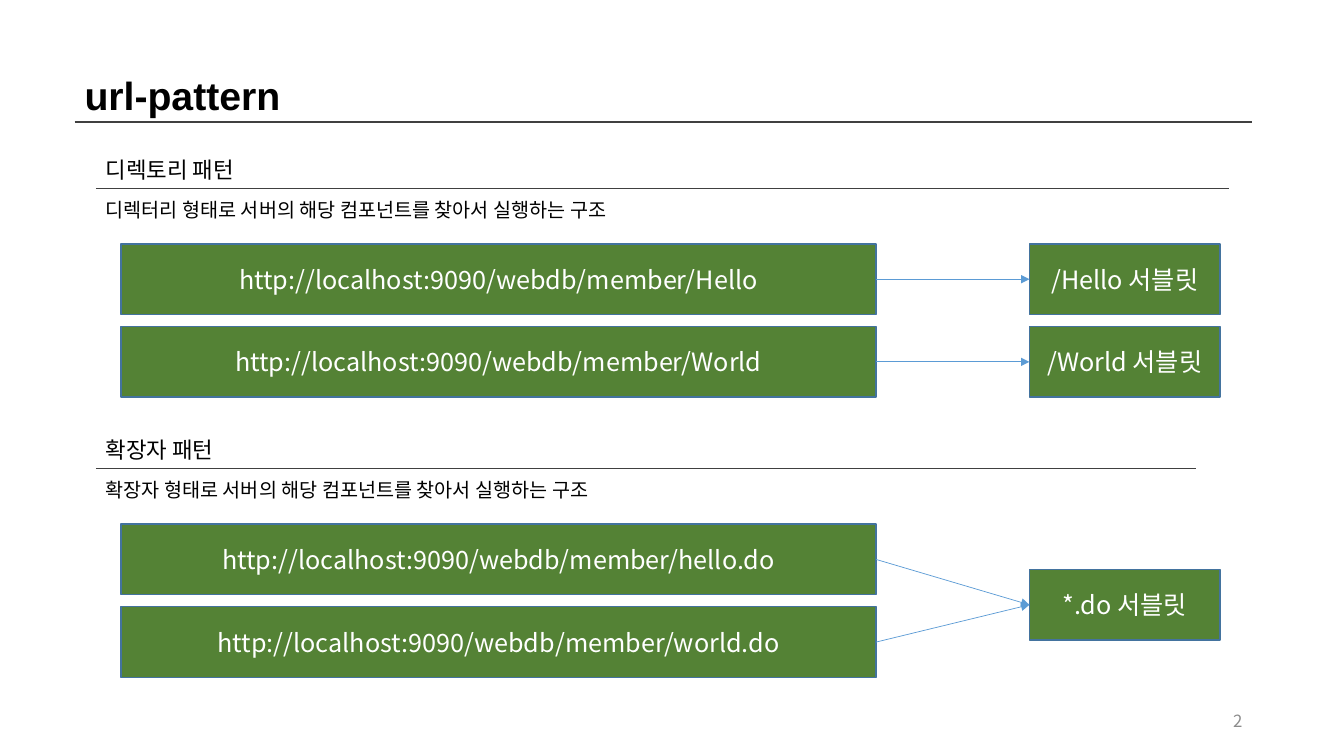
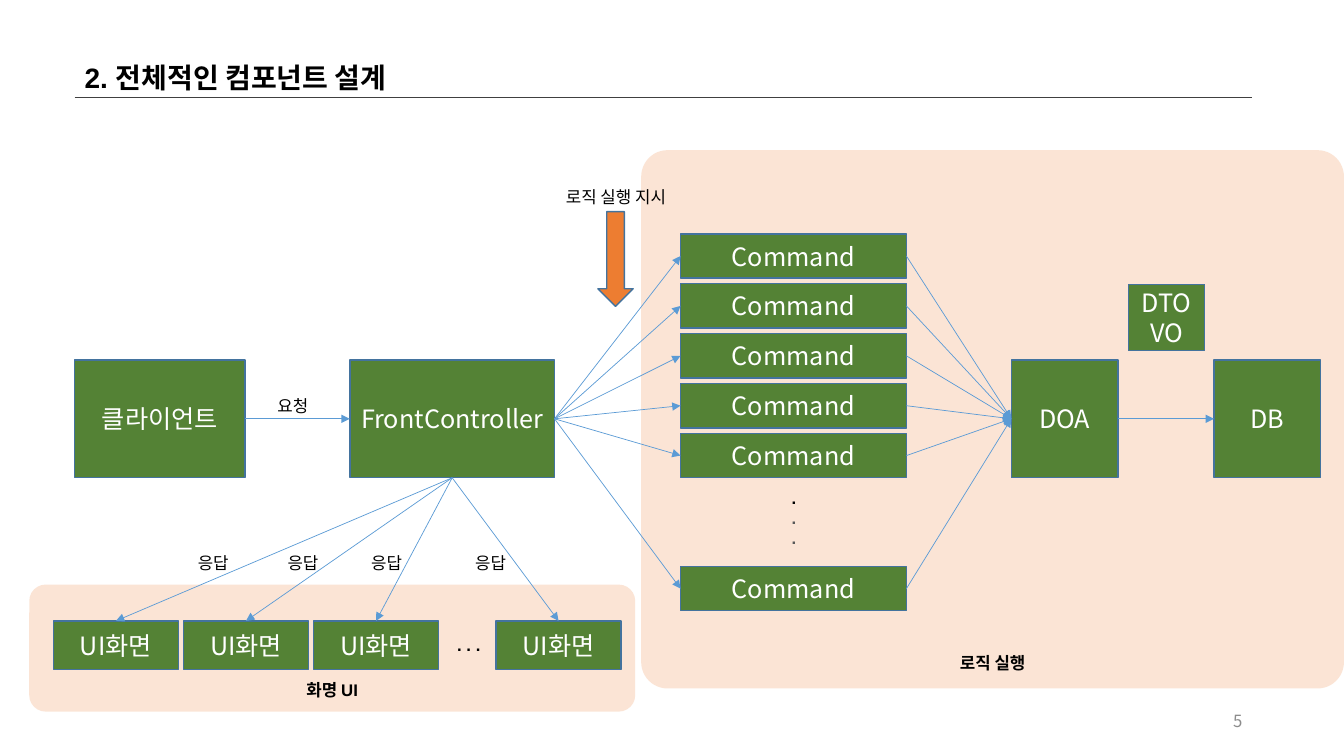
from dataclasses import dataclass

from lxml.etree import SubElement
from pptx import Presentation
from pptx.dml.color import RGBColor
from pptx.enum.shapes import MSO_CONNECTOR, MSO_SHAPE
from pptx.enum.text import MSO_ANCHOR, MSO_AUTO_SIZE, PP_ALIGN
from pptx.oxml.ns import qn
from pptx.shapes.autoshape import Shape
from pptx.shapes.connector import Connector
from pptx.slide import Slide
from pptx.text.text import TextFrame
from pptx.util import Inches, Pt

COLORS = {
    "text": "000000", "muted": "595959", "page": "8C8C8C", "white": "FFFFFF",
    "rule": "404040", "box": "548235", "edge": "43739E", "arrow": "5B9BD5",
    "panel": "F8CBAD", "accent": "ED7D31",
}
LATIN, KOREAN = "Arial", "Noto Sans CJK KR"
TOP, LEFT, BOTTOM, RIGHT = range(4)  # connection sites of a rectangle


@dataclass(frozen=True)
class Area:
    """Position and size in inches."""
    x: float
    y: float
    w: float
    h: float


@dataclass(frozen=True)
class Label:
    """Small centred caption."""
    text: str
    x: float
    y: float
    w: float = 0.69
    h: float = 0.3
    bold: bool = False


@dataclass(frozen=True)
class Pattern:
    """One URL pattern section: heading, description, URLs and servlets."""
    y: float
    rule_end: float
    heading: str
    description: str
    urls: tuple[str, ...]
    servlets: tuple[tuple[str, float], ...]


def rgb(name: str) -> RGBColor:
    """Look up a palette colour."""
    return RGBColor.from_string(COLORS[name])


def inches(area: Area) -> tuple[Inches, ...]:
    """Convert an area to slide lengths."""
    return tuple(Inches(v) for v in (area.x, area.y, area.w, area.h))


def write(tf: TextFrame, text: str, *, size: float = 12, font: str = LATIN,
          colors: tuple[str, ...] = ("text",), bold: bool = False,
          align: PP_ALIGN = PP_ALIGN.LEFT,
          anchor: MSO_ANCHOR = MSO_ANCHOR.TOP) -> None:
    """Write one paragraph per line; the last colour serves remaining lines."""
    tf.word_wrap = True
    tf.vertical_anchor = anchor
    for i, line in enumerate(text.split("\n")):
        p = tf.add_paragraph() if i else tf.paragraphs[0]
        p.alignment = align
        r = p.add_run()
        r.text = line
        r.font.size, r.font.bold, r.font.name = Pt(size), bold, font
        r.font.color.rgb = rgb(colors[min(i, len(colors) - 1)])
        SubElement(r.font._element, qn("a:ea"), typeface=KOREAN)


def add_text(s: Slide, area: Area, text: str, grow: bool = True, **fmt) -> None:
    """Add a text box, formatted as for write."""
    tf = s.shapes.add_textbox(*inches(area)).text_frame
    write(tf, text, **fmt)
    if grow:
        tf.auto_size = MSO_AUTO_SIZE.SHAPE_TO_FIT_TEXT


def add_label(s: Slide, label: Label) -> None:
    """Add a centred caption."""
    add_text(s, Area(label.x, label.y, label.w, label.h), label.text,
             bold=label.bold, align=PP_ALIGN.CENTER)


def add_filled(s: Slide, kind: MSO_SHAPE, area: Area, fill: str) -> Shape:
    """Add a filled, outlined shape without shadow."""
    sp = s.shapes.add_shape(kind, *inches(area))
    sp.shadow.inherit = False
    sp.fill.solid()
    sp.fill.fore_color.rgb = rgb(fill)
    sp.line.color.rgb = rgb("edge")
    sp.line.width = Pt(1)
    return sp


def add_box(s: Slide, area: Area, text: str) -> Shape:
    """Add a green component box."""
    sp = add_filled(s, MSO_SHAPE.RECTANGLE, area, "box")
    write(sp.text_frame, text, size=18, font=KOREAN, colors=("white",),
          align=PP_ALIGN.CENTER, anchor=MSO_ANCHOR.MIDDLE)
    return sp


def add_panel(s: Slide, area: Area, radius: float) -> None:
    """Add a half-transparent rounded panel."""
    sp = add_filled(s, MSO_SHAPE.ROUNDED_RECTANGLE, area, "panel")
    sp.adjustments[0] = radius
    sp.line.fill.background()
    color = sp._element.spPr.find(qn("a:solidFill")).find(qn("a:srgbClr"))
    SubElement(color, qn("a:alpha"), val="50000")


def add_line(s: Slide, x1: float, y1: float, x2: float, y2: float,
             color: str = "rule", width: float = 1) -> Connector:
    """Add a straight line without shadow."""
    ln = s.shapes.add_connector(MSO_CONNECTOR.STRAIGHT, Inches(x1), Inches(y1),
                                Inches(x2), Inches(y2))
    ln.line.color.rgb = rgb(color)
    ln.line.width = Pt(width)
    SubElement(ln._element.spPr, qn("a:effectLst"))
    return ln


def add_arrow(s: Slide, start: Shape, end: Shape,
              out: int = RIGHT, into: int = LEFT) -> None:
    """Connect two boxes with an arrow."""
    ln = add_line(s, 0, 0, 1, 1, "arrow", 0.5)
    ln.begin_connect(start, out)
    ln.end_connect(end, into)
    SubElement(ln.line._get_or_add_ln(), qn("a:tailEnd"), type="triangle")


def add_frame(s: Slide, title: str, page: str, y: float, h: float,
              size: float) -> None:
    """Add title, title rule and page number."""
    add_text(s, Area(0.74, y, 11.68, h), title, size=size, bold=True)
    add_line(s, 0.74, y + h - 0.02, 12.42, y + h - 0.02)
    add_text(s, Area(9.42, 6.95, 3, 0.4), page, grow=False, font=KOREAN,
             colors=("page",), align=PP_ALIGN.RIGHT, anchor=MSO_ANCHOR.MIDDLE)


def add_pattern(s: Slide, pattern: Pattern) -> None:
    """Draw one URL pattern section."""
    y = pattern.y
    add_text(s, Area(0.95, y, 10.91, 0.37), pattern.heading, size=16)
    add_line(s, 0.95, y + 0.37, pattern.rule_end, y + 0.37)
    add_text(s, Area(0.95, y + 0.41, 10.91, 0.34), pattern.description, size=14)
    urls = [add_box(s, Area(1.2, y + 0.92 + 0.82 * i, 7.49, 0.7),
                    "http://localhost:9090/webdb/member/" + url)
            for i, url in enumerate(pattern.urls)]
    servlets = [add_box(s, Area(10.21, top, 1.89, 0.7), name + " 서블릿")
                for name, top in pattern.servlets]
    for i, url in enumerate(urls):
        add_arrow(s, url, servlets[min(i, len(servlets) - 1)])


def build_patterns(s: Slide) -> None:
    """Build the url-pattern slide."""
    add_frame(s, "url-pattern", "2", 0.66, 0.57, 28)
    for pattern in (
        Pattern(1.5, 12.19, "디렉토리 패턴",
                "디렉터리 형태로 서버의 해당 컴포넌트를 찾아서 실행하는 구조",
                ("Hello", "World"), (("/Hello", 2.42), ("/World", 3.24))),
        Pattern(4.28, 11.86, "확장자 패턴",
                "확장자 형태로 서버의 해당 컴포넌트를 찾아서 실행하는 구조",
                ("hello.do", "world.do"), (("*.do", 5.65),)),
    ):
        add_pattern(s, pattern)


def build_components(s: Slide) -> None:
    """Build the component design slide."""
    add_panel(s, Area(0.29, 5.8, 6.01, 1.26), 0.129)
    add_panel(s, Area(6.36, 1.49, 6.97, 5.34), 0.049)
    add_frame(s, "2. 전체적인 컴포넌트 설계", "5", 0.55, 0.44, 20)

    client, front, doa, db = (
        add_box(s, Area(x, 3.57, w, 1.17), name) for name, x, w in (
            ("클라이언트", 0.74, 1.69), ("FrontController", 3.47, 2.03),
            ("DOA", 10.03, 1.06), ("DB", 12.04, 1.06)))
    add_box(s, Area(11.19, 2.82, 0.76, 0.66), "DTO\nVO")
    add_arrow(s, client, front)
    add_arrow(s, doa, db)

    for y in [2.32 + 0.495 * i for i in range(5)] + [5.62]:
        command = add_box(s, Area(6.75, y, 2.24, 0.44), "Command")
        add_arrow(s, front, command)
        add_arrow(s, command, doa)
    add_text(s, Area(7.64, 4.79, 0.47, 0.71), ".\n.\n.", bold=True,
             colors=("text", "muted"), align=PP_ALIGN.CENTER)

    for x in [0.53 + 1.29 * i for i in range(3)] + [4.92]:
        screen = add_box(s, Area(x, 6.16, 1.24, 0.48), "UI화면")
        add_arrow(s, front, screen, BOTTOM, TOP)

    add_filled(s, MSO_SHAPE.DOWN_ARROW, Area(5.93, 2.1, 0.35, 0.94), "accent")
    for label in (
        Label("요청", 2.56, 3.88),
        *(Label("응답", x, 5.43) for x in (1.77, 2.66, 3.49, 4.52)),
        Label("로직 실행 지시", 5.38, 1.8, 1.46),
        Label(". . .", 4.36, 6.25, 0.58, bold=True),
        Label("로직 실행", 9.29, 6.43, 1.11, bold=True),
        Label("화명 UI", 2.74, 6.69, 1.11, bold=True),
    ):
        add_label(s, label)


prs = Presentation()
prs.slide_width, prs.slide_height = Inches(13.33), Inches(7.5)
for build in (build_patterns, build_components):
    build(prs.slides.add_slide(prs.slide_layouts[6]))
prs.save("out.pptx")
